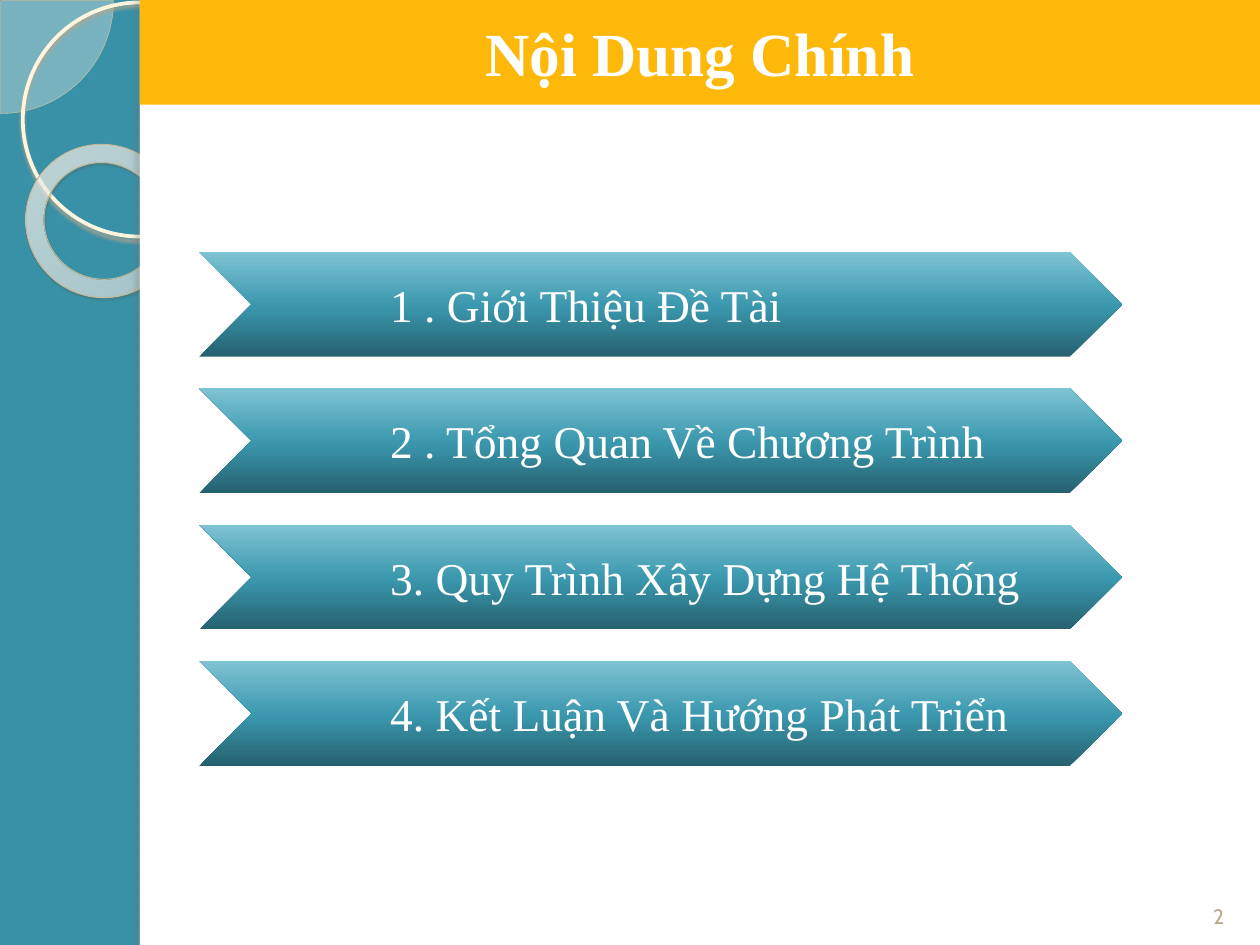
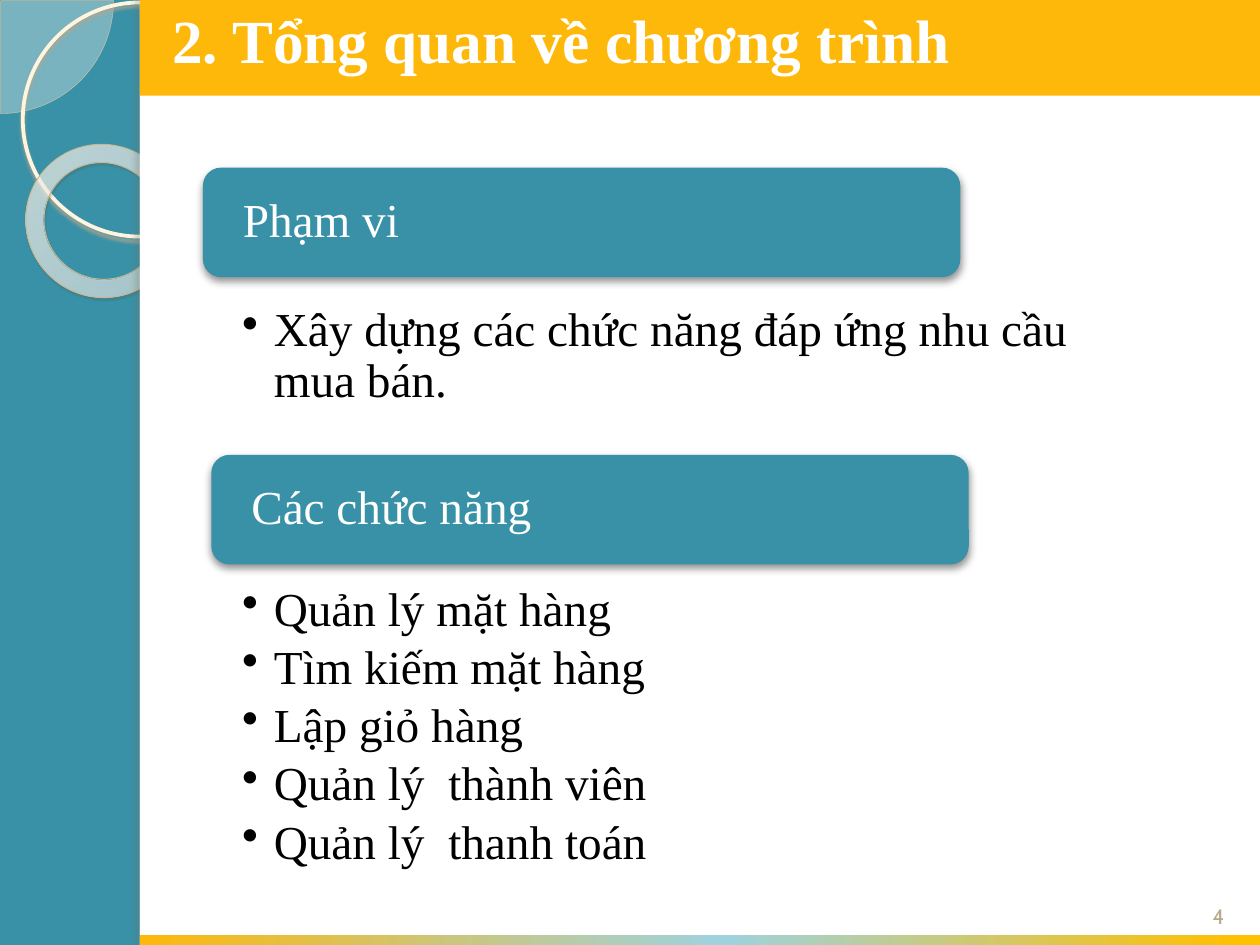
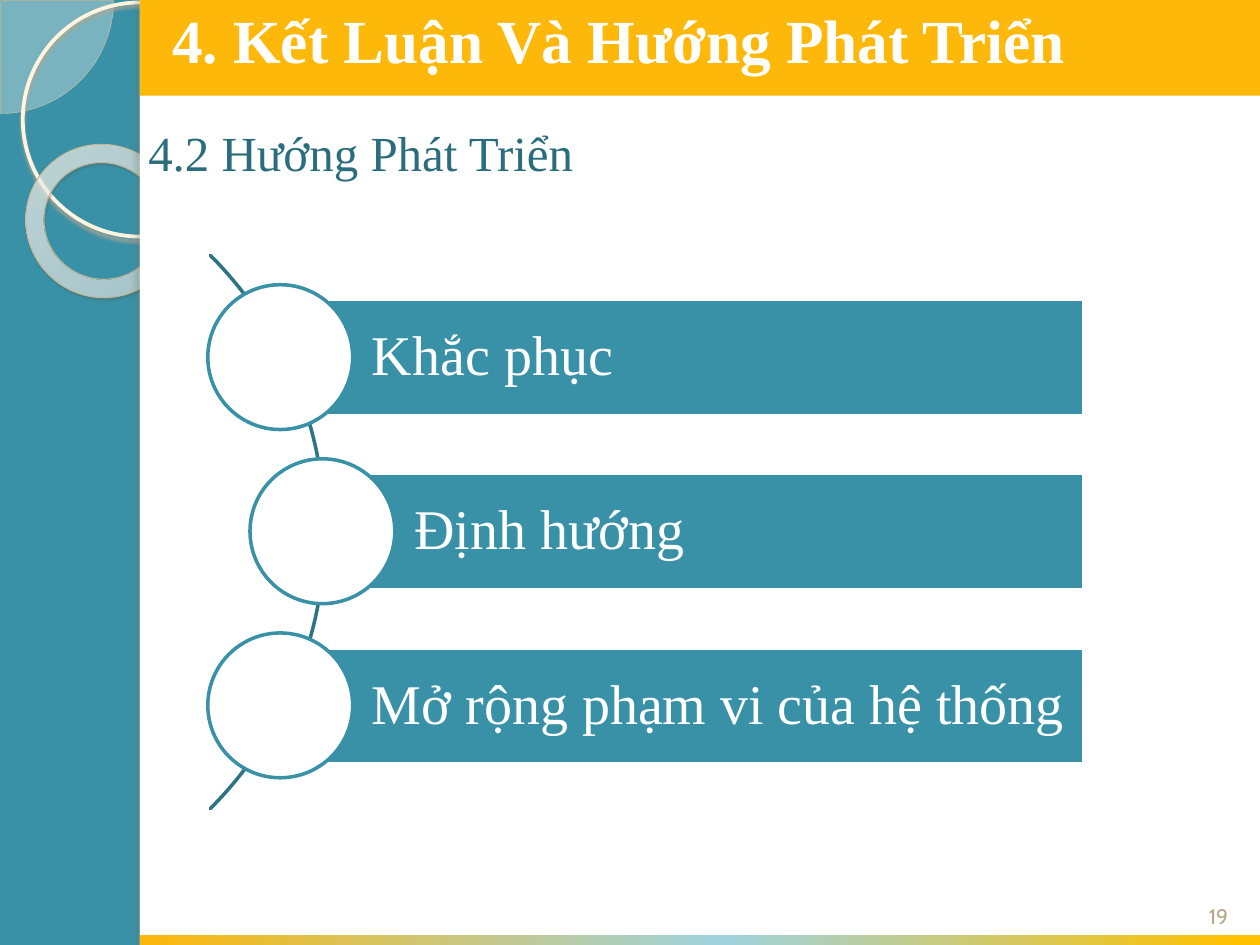
"""Build three slides on a shop project: contents, overview and outlook."""
from pptx import Presentation
from pptx.dml.color import RGBColor
from pptx.enum.shapes import MSO_SHAPE
from pptx.enum.text import MSO_ANCHOR, PP_ALIGN
from pptx.oxml import parse_xml
from pptx.oxml.ns import nsdecls, qn
from pptx.util import Cm, Pt

TEAL, GOLD, WHITE = "3891A7", "FEB80A", "FFFFFF"
SERIF = "Times New Roman"
NS = nsdecls("a")
EDGE, WIDE, HIGH = 2.82, 22.58, 19.05
RING = [(0, "FFFCF6", 70), (70, "FFFEFB", 55), (100, "F0D28E", 60)]
STRIPE = [(0, GOLD, 100), (52, "9ED2DF", 100), (98, "FFC000", 100)]
GLOSS = [(0, "266170", 100), (48, "3A97AD", 100), (100, "7EC3D4", 100)]
DROP = ("000000", 43, 5, 2, 90)


def draw(slide, kind, place, fill=None, line=None, width=1, angle=0, shade=None):
    shape = slide.shapes.add_shape(kind, *map(Cm, place))
    shape.shadow.inherit = False
    if fill is None:
        shape.fill.background()
    elif isinstance(fill, str):
        shape.fill.solid()
        shape.fill.fore_color.rgb = RGBColor.from_string(fill)
    else:
        shape.fill.gradient()
        shape.fill.gradient_angle = angle
        stops = shape.element.spPr.find(".//" + qn("a:gsLst"))
        for old in list(stops):
            stops.remove(old)
        for pos, tint, alpha in fill:
            stops.append(parse_xml(
                f'<a:gs {NS} pos="{pos * 1000}"><a:srgbClr val="{tint}">'
                f'<a:alpha val="{alpha * 1000}"/></a:srgbClr></a:gs>'))
    if line:
        shape.line.color.rgb = RGBColor.from_string(line)
        shape.line.width = Pt(width)
    else:
        shape.line.fill.background()
    if shade:
        tint, alpha, blur, dist, turn = shade
        shape.element.spPr.find(qn("a:effectLst")).append(parse_xml(
            f'<a:outerShdw {NS} blurRad="{Pt(blur)}" dist="{Pt(dist)}" '
            f'dir="{turn * 60000}" algn="ctr" rotWithShape="0"><a:srgbClr val="{tint}">'
            f'<a:alpha val="{alpha * 1000}"/></a:srgbClr></a:outerShdw>'))
    return shape


def write(shape, lines, size, tint=WHITE, font=SERIF, bold=False, align=PP_ALIGN.LEFT,
          anchor=MSO_ANCHOR.MIDDLE, pads=(0.25, 0.13, 0.25, 0.13), pitch=None):
    frame = shape.text_frame
    frame.word_wrap = True
    frame.vertical_anchor = anchor
    (frame.margin_left, frame.margin_top,
     frame.margin_right, frame.margin_bottom) = map(Cm, pads)
    frame.text = "\n".join(lines)
    for para in frame.paragraphs:
        para.alignment = align
        para.line_spacing = pitch
        for run in para.runs:
            run.font.name = font
            run.font.size = Pt(size)
            run.font.bold = bold
            run.font.color.rgb = RGBColor.from_string(tint)


deck = Presentation()
deck.slide_width, deck.slide_height = Cm(25.4), Cm(HIGH)
ground = deck.slide_master.background.fill
ground.solid()
ground.fore_color.rgb = RGBColor.from_string(TEAL)

heads = [
    ("Nội Dung Chính", "2", 2.11, PP_ALIGN.CENTER, (0.25, 0.13, 0.25, 0.13)),
    ("2. Tổng quan về chương trình", "4", 1.93, PP_ALIGN.LEFT, (0.65, 0, 0.25, 0.36)),
    ("4. Kết Luận Và Hướng Phát Triển", "19", 1.93, PP_ALIGN.LEFT, (0.65, 0, 0.25, 0.36)),
]
slides = []
for title, number, tall, align, pads in heads:
    slide = deck.slides.add_slide(deck.slide_layouts[6])
    slides.append(slide)
    pie = draw(slide, MSO_SHAPE.PIE, (-2.26, -2.26, 4.55, 4.55), "FEFAF4", "D3C39F", 0.25)
    pie.adjustments[0], pie.adjustments[1] = 0, 54
    pie.element.spPr.find(qn("a:solidFill"))[0].append(
        parse_xml(f'<a:alpha {NS} val="33000"/>'))
    draw(slide, MSO_SHAPE.OVAL, (0.46, 0.05, 4.72, 4.72), None, "FFF5DE", 2.15,
         shade=("B0A68F", 85, 2, 2, 90))
    ring = draw(slide, MSO_SHAPE.DONUT, (0.51, 2.92, 3.12, 3.07), RING, "C7B893", 0.58,
                shade=("5A5444", 35, 1, 1.2, 75))
    ring.adjustments[0] = 0.12
    ring.rotation = 38.6
    blend = ring.element.spPr.find(qn("a:gradFill"))
    blend.replace(blend.find(qn("a:lin")), parse_xml(
        f'<a:path {NS} path="circle"><a:fillToRect l="-408000" t="-50000" '
        'r="508000" b="150000"/></a:path>'))
    draw(slide, MSO_SHAPE.RECTANGLE, (EDGE, 0, WIDE, HIGH), WHITE)
    draw(slide, MSO_SHAPE.RECTANGLE, (EDGE, 0, 0.2, HIGH), WHITE,
         shade=("736F63", 25, 3, 3, 180))
    band = draw(slide, MSO_SHAPE.RECTANGLE, (EDGE, 0, WIDE, tall), GOLD)
    write(band, [title], 35, bold=True, align=align, pads=pads)
    label = slide.shapes.add_textbox(Cm(23.93), Cm(17.53), Cm(1.27), Cm(1.32))
    write(label, [number], 12, "B6A98A", "Cabin", align=PP_ALIGN.CENTER,
          anchor=MSO_ANCHOR.BOTTOM)

agenda, scope, future = slides
for slide in (scope, future):
    draw(slide, MSO_SHAPE.RECTANGLE, (EDGE, 18.85, WIDE, 0.2), STRIPE)

topics = ["1 . Giới Thiệu Đề Tài", "2 . Tổng Quan Về Chương Trình",
          "3. Quy Trình Xây Dựng Hệ Thống", "4. Kết Luận Và Hướng Phát Triển"]
for i, topic in enumerate(topics):
    arrow = draw(agenda, MSO_SHAPE.CHEVRON, (4.02, 5.08 + 2.75 * i, 18.6, 2.11),
                 GLOSS, angle=90)
    write(arrow, [topic], 26, pads=(2.79, 0.13, 0, 0.13))

groups = [
    ("Phạm vi", 4.09, 3.38, 4.62, 4.14,
     ["Xây dựng các chức năng đáp ứng nhu cầu mua bán."]),
    ("Các chức năng", 4.26, 9.17, 10.26, 7.8,
     ["Quản lý mặt hàng", "Tìm kiếm mặt hàng", "Lập giỏ hàng",
      "Quản lý  thành viên", "Quản lý  thanh toán"]),
]
for name, left, top, start, tall, items in groups:
    body = draw(scope, MSO_SHAPE.RECTANGLE, (3.18, start, 21.79, tall), WHITE)
    write(body, items, 27, "000000", anchor=MSO_ANCHOR.TOP,
          pads=(1.7, 1.55, 1.7, 0.53), pitch=0.9)
    for para in body.text_frame.paragraphs:
        para.space_after = Pt(4)
        props = para._p.get_or_add_pPr()
        props.set("marL", str(Cm(0.64)))
        props.set("indent", str(Cm(-0.64)))
        props.append(parse_xml(f'<a:buChar {NS} char="•"/>'))
    tab = draw(scope, MSO_SHAPE.ROUNDED_RECTANGLE, (left, top, 15.27, 2.21), TEAL, shade=DROP)
    write(tab, [name], 27, pads=(0.7, 0, 0.7, 0), pitch=0.9)

note = future.shapes.add_textbox(Cm(2.74), Cm(2.34), Cm(9.96), Cm(2.24))
write(note, ["4.2 Hướng Phát Triển"], 28, "2A6D7D", anchor=MSO_ANCHOR.TOP)
arc = draw(future, MSO_SHAPE.BLOCK_ARC, (-9.22, 2.84, 15.77, 15.77), None, "2D7486", 2)
for i, turn in enumerate((189, 27, 0)):
    arc.adjustments[i] = turn
goals = [("Khắc phục", 4.19), ("Định hướng", 5.04), ("Mở rộng phạm vi của hệ thống", 4.19)]
for i, (goal, left) in enumerate(goals):
    top = 5.74 + 3.51 * i
    start = left + 1.46
    bar = draw(future, MSO_SHAPE.RECTANGLE, (start, top + 0.3, 21.84 - start, 2.34),
               TEAL, WHITE, 2)
    write(bar, [goal], 32, pads=(1.85, 0.23, 0.23, 0.23), pitch=0.9)
    draw(future, MSO_SHAPE.OVAL, (left, top, 2.92, 2.92), WHITE, TEAL, 2)

deck.save("out.pptx")
